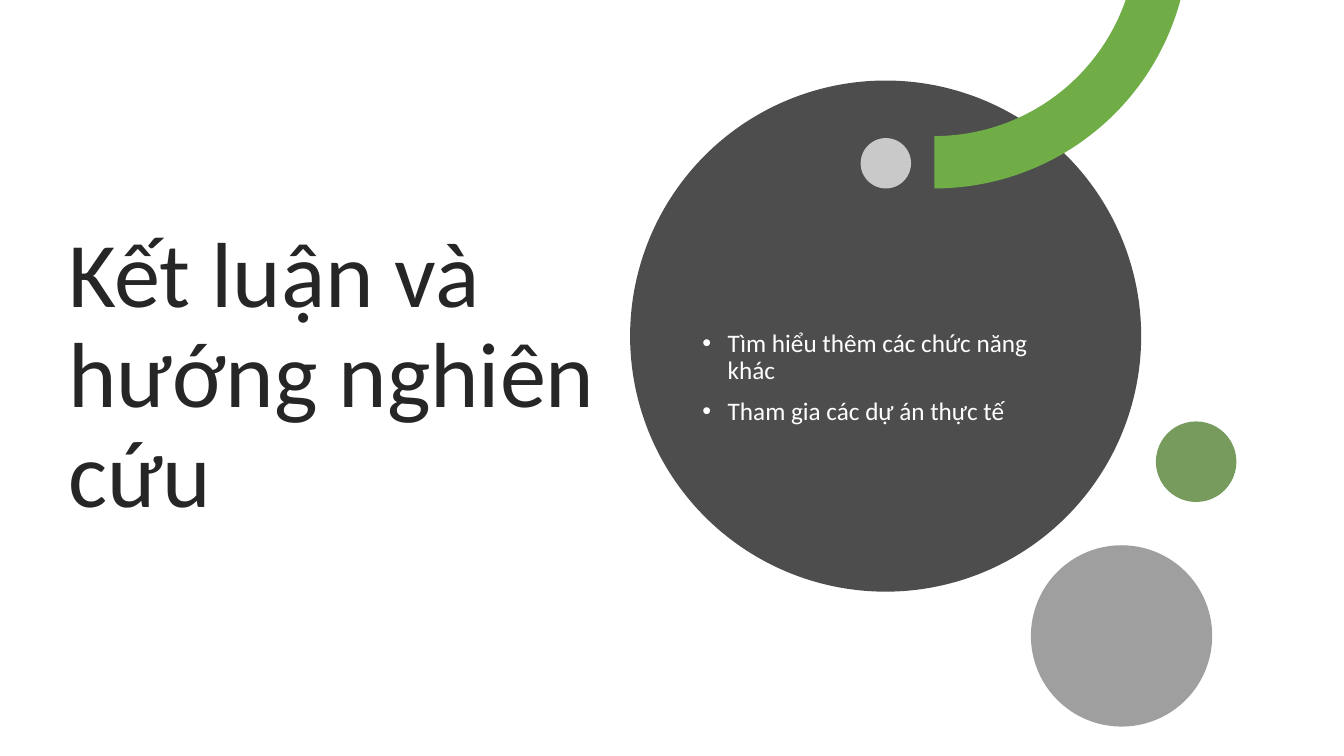
from math import asin, cos, pi, sin

from lxml.etree import SubElement
from pptx import Presentation
from pptx.dml.color import RGBColor
from pptx.enum.shapes import MSO_SHAPE
from pptx.enum.text import MSO_ANCHOR, PP_ALIGN
from pptx.oxml.ns import qn
from pptx.util import Cm, Pt

COLOURS = {
    "heading": "262626",
    "disc": "4D4D4D",
    "white": "FFFFFF",
    "arc": "70AD47",
    "green": "548235",
    "grey": "404040",
}
FONT = "Calibri"
BULLET_INDENT = Cm(0.64)


def paint(shape, colour, opacity=100):
    """Give a shape a flat fill with no line or shadow."""
    shape.shadow.inherit = False
    shape.line.fill.background()
    shape.fill.solid()
    shape.fill.fore_color.rgb = RGBColor.from_string(COLOURS[colour])
    if opacity < 100:
        tint = shape.fill._xPr.find(qn("a:solidFill"))[0]
        SubElement(tint, qn("a:alpha"), val=str(opacity * 1000))


def add_circle(slide, left, top, diameter, colour, opacity=100):
    """Draw a filled circle, measured in centimetres."""
    circle = slide.shapes.add_shape(
        MSO_SHAPE.OVAL, Cm(left), Cm(top), Cm(diameter), Cm(diameter))
    paint(circle, colour, opacity)


def add_arc_band(slide, centre_x, centre_y, outer, inner, colour, steps=48):
    """Draw a band from the top edge of the slide to below its centre."""
    def edge(radius):
        start = asin(-centre_y / radius)
        angles = [start + (pi / 2 - start) * i / steps for i in range(steps + 1)]
        return [(Cm(centre_x + radius * cos(a)), Cm(centre_y + radius * sin(a)))
                for a in angles]

    outline = edge(outer) + edge(inner)[::-1]
    builder = slide.shapes.build_freeform(*outline[0])
    builder.add_line_segments(outline[1:], close=True)
    paint(builder.convert_to_shape(), colour)


def add_bullet(paragraph):
    """Put a hanging round bullet on a paragraph."""
    properties = paragraph._p.get_or_add_pPr()
    properties.set("marL", str(BULLET_INDENT))
    properties.set("indent", str(-BULLET_INDENT))
    SubElement(properties, qn("a:buFont"), typeface="Arial")
    SubElement(properties, qn("a:buChar"), char="•")


def add_text(slide, lines, *, left, top, width, height, size, colour,
             bullets=False, gap=0):
    """Add a vertically centred text box with one paragraph per line."""
    box = slide.shapes.add_textbox(Cm(left), Cm(top), Cm(width), Cm(height))
    frame = box.text_frame
    frame.word_wrap = True
    frame.vertical_anchor = MSO_ANCHOR.MIDDLE
    for index, line in enumerate(lines):
        paragraph = frame.add_paragraph() if index else frame.paragraphs[0]
        if bullets:
            add_bullet(paragraph)
        paragraph.alignment = PP_ALIGN.LEFT
        paragraph.line_spacing = 0.9
        if index:
            paragraph.space_before = Pt(gap)
        run = paragraph.add_run()
        run.text = line
        run.font.name = FONT
        run.font.size = Pt(size)
        run.font.color.rgb = RGBColor.from_string(COLOURS[colour])


def main():
    """Build the conclusion slide and save it."""
    deck = Presentation()
    deck.slide_width, deck.slide_height = Cm(33.87), Cm(19.05)
    slide = deck.slides.add_slide(deck.slide_layouts[6])

    add_text(slide, ["Kết luận và hướng nghiên cứu"], left=1.47, top=3.02,
             width=13.79, height=12.98, size=66, colour="heading")
    add_circle(slide, 15.88, 2.03, 12.88, "disc")
    add_circle(slide, 21.69, 3.48, 1.27, "white", opacity=70)
    add_arc_band(slide, 23.55, -1.67, 6.42, 5.1, "arc")
    add_circle(slide, 29.13, 10.62, 2.03, "green", opacity=80)
    add_circle(slide, 25.98, 13.74, 4.57, "grey", opacity=50)
    add_text(slide,
             ["Tìm hiểu thêm các chức năng khác", "Tham gia các dự án thực tế"],
             left=17.45, top=4.9, width=9.96, height=9.27, size=18,
             colour="white", bullets=True, gap=10)

    deck.save("out.pptx")


if __name__ == "__main__":
    main()
